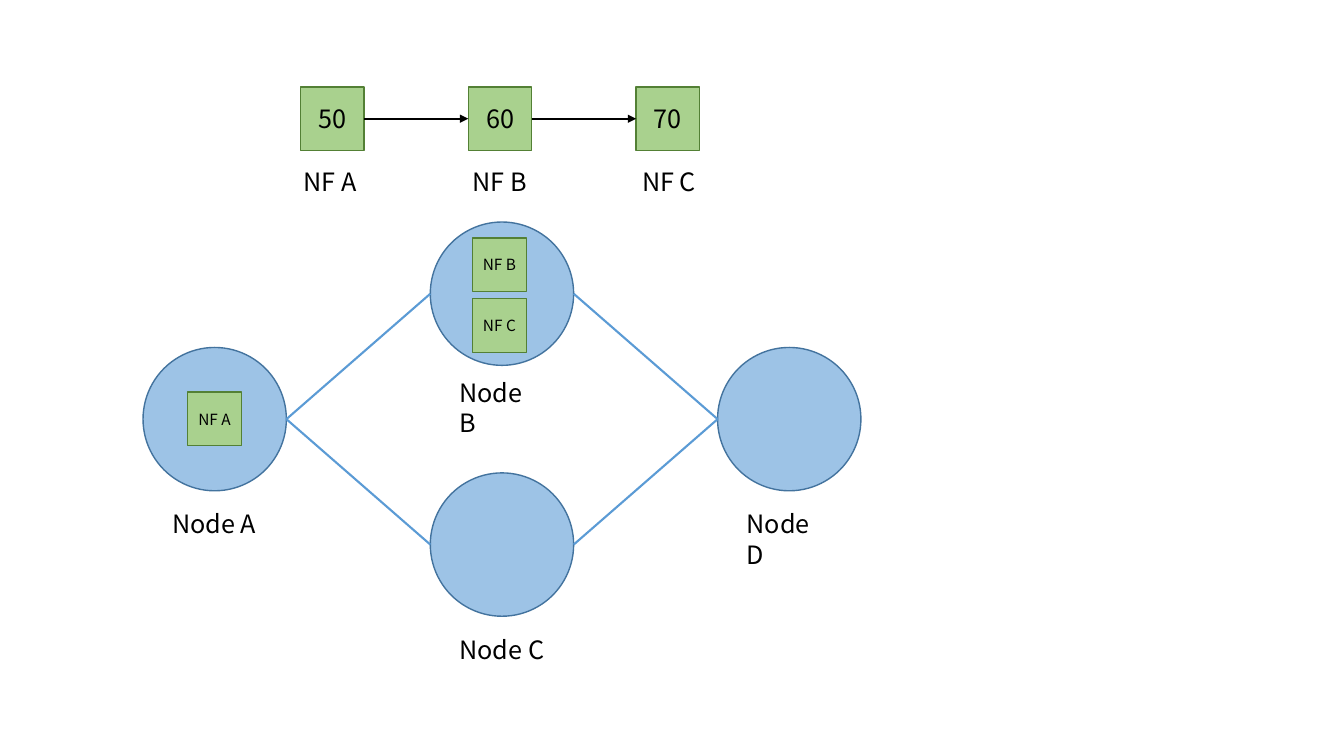
from lxml.etree import SubElement
from pptx import Presentation
from pptx.dml.color import RGBColor
from pptx.enum.shapes import MSO_CONNECTOR, MSO_SHAPE
from pptx.enum.text import MSO_ANCHOR, MSO_AUTO_SIZE, PP_ALIGN
from pptx.oxml.ns import qn
from pptx.util import Pt

COLORS = {
    "text": "000000", "arrow": "000000", "link": "5B9BD5",
    "nf": "A9D18E", "nf_line": "538035",
    "node": "9DC3E6", "node_line": "43739E",
}
FONT = "Noto Sans CJK SC"


def rgb(name):
    """Return a named colour."""
    return RGBColor.from_string(COLORS[name])


def write(tf, text, size=18, align=PP_ALIGN.LEFT, anchor=MSO_ANCHOR.TOP):
    """Write one formatted line into a text frame."""
    tf.word_wrap = True
    tf.vertical_anchor = anchor
    p = tf.paragraphs[0]
    p.alignment = align
    r = p.add_run()
    r.text = text
    r.font.size = Pt(size)
    r.font.name = FONT
    r.font.color.rgb = rgb("text")


def add_label(s, text, x, y, w):
    """Add a caption that grows with its text."""
    tf = s.shapes.add_textbox(Pt(x), Pt(y), Pt(w), Pt(28.8)).text_frame
    write(tf, text)
    tf.auto_size = MSO_AUTO_SIZE.SHAPE_TO_FIT_TEXT


def add_figure(s, kind, color, x, y, size, text="", text_size=18):
    """Add an outlined square or circle with optional centred text."""
    sp = s.shapes.add_shape(kind, Pt(x), Pt(y), Pt(size), Pt(size))
    sp.shadow.inherit = False
    sp.fill.solid()
    sp.fill.fore_color.rgb = rgb(color)
    sp.line.color.rgb = rgb(color + "_line")
    sp.line.width = Pt(1)
    if text:
        tf = sp.text_frame
        tf.margin_left = tf.margin_right = 0
        write(tf, text, text_size, PP_ALIGN.CENTER, MSO_ANCHOR.MIDDLE)
    return sp


def connect(s, start, end, color, arrow=False):
    """Draw a line from the right side of one shape to the left side of another."""
    c = s.shapes.add_connector(
        MSO_CONNECTOR.STRAIGHT,
        start.left + start.width, start.top + start.height // 2,
        end.left, end.top + end.height // 2)
    c.line.color.rgb = rgb(color)
    c.line.width = Pt(1.5)
    props = c._element.spPr
    if arrow:
        SubElement(props.find(qn("a:ln")), qn("a:tailEnd"), type="triangle")
    SubElement(props, qn("a:effectLst"))


def add_chain(s, x, y, size=45.4, step=119.9):
    """Draw the chain of network functions with its captions."""
    boxes = []
    for i, (name, demand) in enumerate((("NF A", "50"), ("NF B", "60"), ("NF C", "70"))):
        boxes.append(add_figure(s, MSO_SHAPE.RECTANGLE, "nf", x + i * step, y, size, demand))
        add_label(s, name, x - 5 + i * 121, y + 53.3, 56.2)
    for start, end in zip(boxes, boxes[1:]):
        connect(s, start, end, "arrow", arrow=True)


def add_network(s, x, y, size=102.4, dx=205.2, dy=89.6):
    """Draw the diamond of nodes, its links and the placed functions."""
    nodes = (
        ("A", 0, 1, 111.6, (("NF A", 31.9, 31.9),)),
        ("D", 2, 1, 111.6, ()),
        ("C", 1, 2, 111.6, ()),
        ("B", 1, 0, 107.3, (("NF B", 30.2, 11.3), ("NF C", 30.2, 54.7))),
    )
    circles = {}
    for name, col, row, drop, functions in nodes:
        left, top = x + col * dx, y + row * dy
        circles[name] = add_figure(s, MSO_SHAPE.OVAL, "node", left, top, size)
        add_label(s, f"Node {name}", left + 13.7, top + drop, 74.8)
        for text, fx, fy in functions:
            add_figure(s, MSO_SHAPE.RECTANGLE, "nf", left + fx, top + fy, 38.3, text, 11)
    for start, end in ("AB", "AC", "CD", "BD"):
        connect(s, circles[start], circles[end], "link")


def main():
    """Build and save the slide."""
    prs = Presentation()
    prs.slide_width, prs.slide_height = Pt(960), Pt(540)
    s = prs.slides.add_slide(prs.slide_layouts[6])
    add_chain(s, 214.6, 62.1)
    add_network(s, 102.2, 158.6)
    prs.save("out.pptx")


if __name__ == "__main__":
    main()
